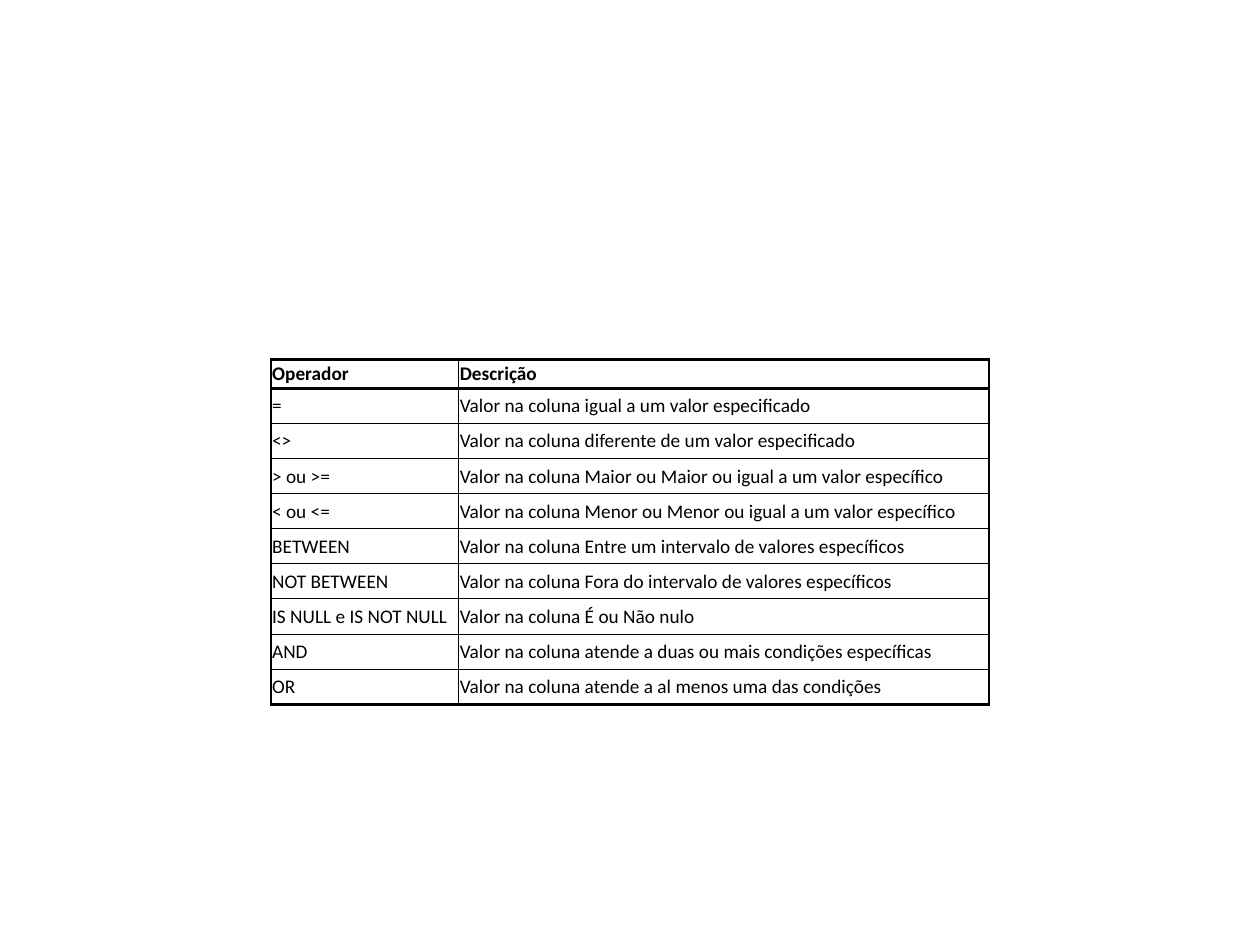
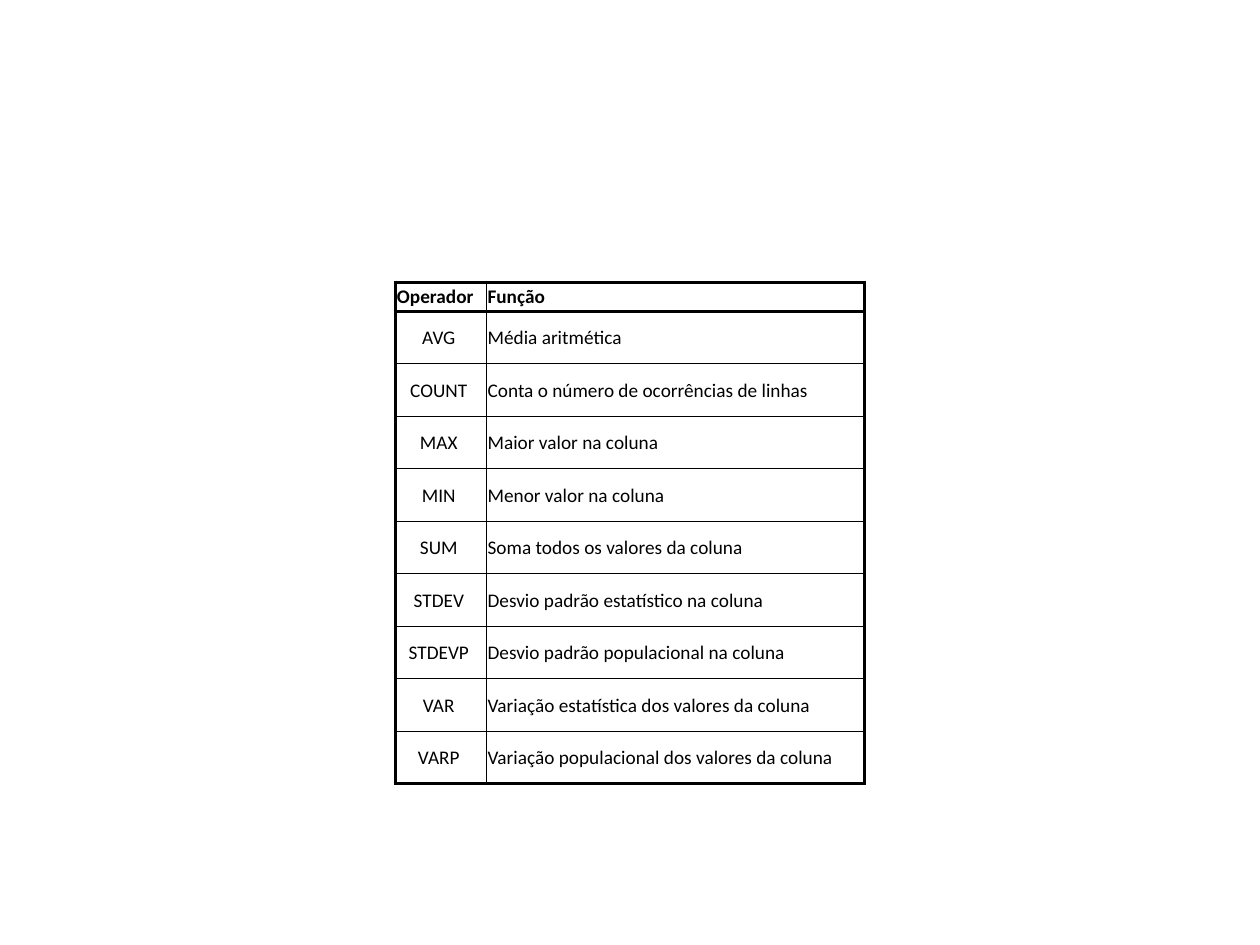
from dataclasses import dataclass

from lxml.etree import SubElement
from pptx import Presentation
from pptx.dml.color import RGBColor
from pptx.enum.text import MSO_ANCHOR, PP_ALIGN
from pptx.oxml.ns import qn
from pptx.util import Inches, Pt


@dataclass(frozen=True)
class Theme:
    """Colours, type and line sizes shared by the slides."""
    ink: str = "000000"
    font: str = "Calibri"
    text_size: float = 11
    thin: float = 0.5
    medium: float = 1
    thick: float = 2
    inset: float = 0.01
    header_height: float = 0.23


THEME = Theme()

COMPARISON_ROWS = [
    ("Operador", "Descrição"),
    ("=", "Valor na coluna igual a um valor especificado"),
    ("<>", "Valor na coluna diferente de um valor especificado"),
    ("> ou >=", "Valor na coluna Maior ou Maior ou igual a um valor específico"),
    ("< ou <=", "Valor na coluna Menor ou Menor ou igual a um valor específico"),
    ("BETWEEN", "Valor na coluna Entre um intervalo de valores específicos"),
    ("NOT BETWEEN", "Valor na coluna Fora do intervalo de valores específicos"),
    ("IS NULL e IS NOT NULL", "Valor na coluna É ou Não nulo"),
    ("AND", "Valor na coluna atende a duas ou mais condições específicas"),
    ("OR", "Valor na coluna atende a al menos uma das condições"),
]

AGGREGATE_ROWS = [
    ("Operador", "Função"),
    ("AVG ", "Média aritmética"),
    ("COUNT ", "Conta o número de ocorrências de linhas"),
    ("MAX ", "Maior valor na coluna"),
    ("MIN ", "Menor valor na coluna"),
    ("SUM ", "Soma todos os valores da coluna"),
    ("STDEV ", "Desvio padrão estatístico na coluna"),
    ("STDEVP ", "Desvio padrão populacional na coluna"),
    ("VAR ", "Variação estatística dos valores da coluna"),
    ("VARP ", "Variação populacional dos valores da coluna"),
]


def write_cell(cell, text, bold, alignment):
    """Put text in a cell with the shared type and insets."""
    cell.text = text
    cell.vertical_anchor = MSO_ANCHOR.MIDDLE
    cell.margin_left = cell.margin_right = cell.margin_top = Inches(THEME.inset)
    cell.margin_bottom = 0
    para = cell.text_frame.paragraphs[0]
    para.alignment = alignment
    para.font.name = THEME.font
    para.font.size = Pt(THEME.text_size)
    para.font.bold = bold
    para.font.color.rgb = RGBColor.from_string(THEME.ink)


def set_borders(cell, left, right, top, bottom):
    """Draw the four borders of a cell, with widths in points."""
    properties = cell._tc.get_or_add_tcPr()
    for side, width in zip("LRTB", (left, right, top, bottom)):
        line = SubElement(properties, qn(f"a:ln{side}"), w=str(Pt(width)))
        fill = SubElement(line, qn("a:solidFill"))
        SubElement(fill, qn("a:srgbClr"), val=THEME.ink)


def add_operator_table(page, rows, left, top, height, widths, side_line, operator_alignment):
    """Add a two-column table with a bold header and thick horizontal rules."""
    table = page.shapes.add_table(
        len(rows), len(widths), Inches(left), Inches(top), Inches(sum(widths)), Inches(height)
    ).table
    table.first_row = table.horz_banding = False
    for column, width in zip(table.columns, widths):
        column.width = Inches(width)
    body_height = (height - THEME.header_height) / (len(rows) - 1)
    last_row, last_column = len(rows) - 1, len(widths) - 1
    for row_index, texts in enumerate(rows):
        header = row_index == 0
        table.rows[row_index].height = Inches(THEME.header_height if header else body_height)
        for column_index, text in enumerate(texts):
            cell = table.cell(row_index, column_index)
            centred = column_index == 0 and not header
            write_cell(cell, text, header, operator_alignment if centred else PP_ALIGN.LEFT)
            set_borders(
                cell,
                left=side_line if column_index == 0 else THEME.thin,
                right=side_line if column_index == last_column else THEME.thin,
                top=THEME.thick if row_index <= 1 else THEME.thin,
                bottom=THEME.thick if row_index in (0, last_row) else THEME.thin,
            )
            cell.fill.background()


def main():
    """Build the two slides and save the deck."""
    deck = Presentation()
    deck.slide_width, deck.slide_height = Inches(10), Inches(7.5)
    blank = deck.slide_layouts[6]
    add_operator_table(
        deck.slides.add_slide(blank), COMPARISON_ROWS, left=2.15, top=2.85, height=2.74,
        widths=(1.49, 4.21), side_line=THEME.medium, operator_alignment=PP_ALIGN.LEFT,
    )
    add_operator_table(
        deck.slides.add_slide(blank), AGGREGATE_ROWS, left=3.14, top=2.24, height=3.98,
        widths=(0.72, 3), side_line=THEME.thick, operator_alignment=PP_ALIGN.CENTER,
    )
    deck.save("out.pptx")


if __name__ == "__main__":
    main()
